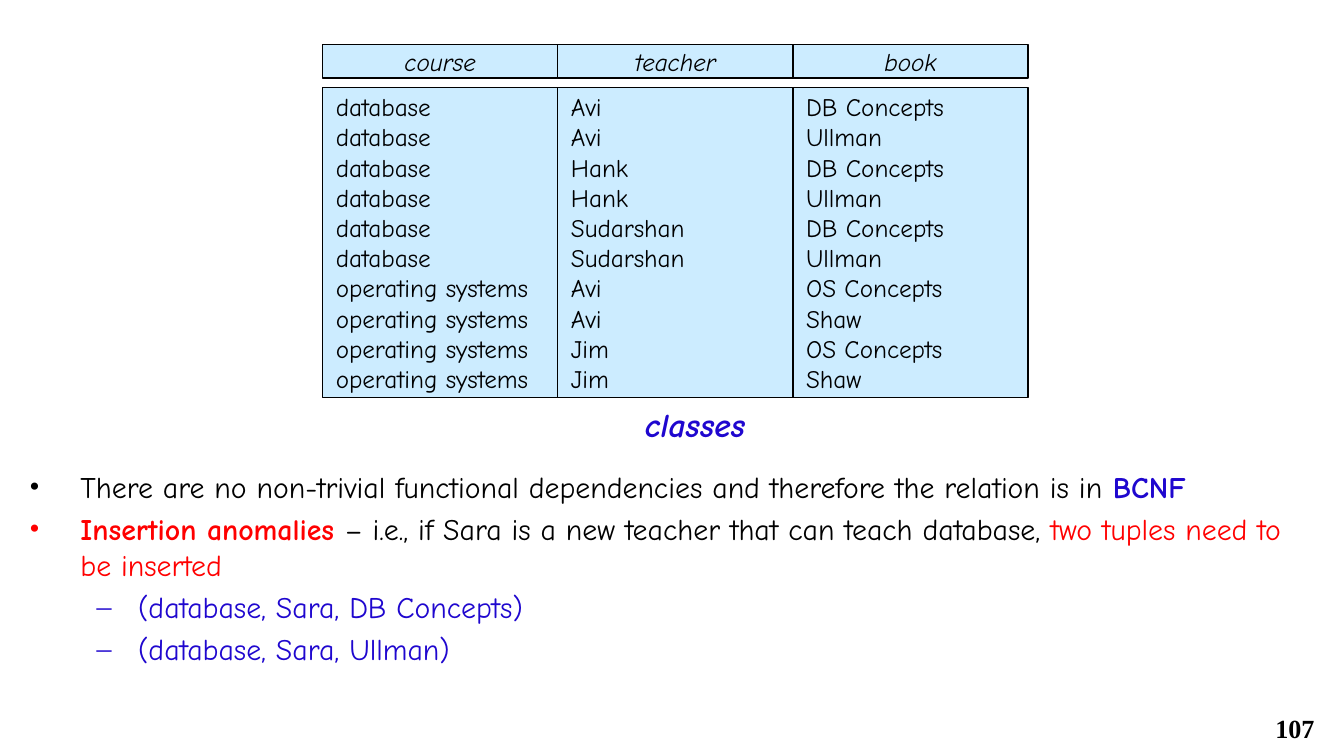
from dataclasses import dataclass

from lxml.etree import SubElement
from pptx import Presentation
from pptx.dml.color import RGBColor
from pptx.enum.shapes import MSO_SHAPE
from pptx.enum.text import MSO_ANCHOR, PP_ALIGN
from pptx.oxml.ns import qn
from pptx.util import Inches, Pt

HEX = {"black": "000000", "blue": "1F07CF", "red": "FF0000", "sky": "CCECFF"}
FACE, SERIF = "Comic Neue", "Times New Roman"
LEFT, WIDE = 2.4, 1.75


@dataclass
class Span:
    text: str
    color: str = "black"
    bold: bool = False


@dataclass
class Point:
    spans: list[Span]
    level: int = 0


@dataclass
class Column:
    head: str
    cells: list[str]


COLUMNS = [
    Column("course", ["database"] * 6 + ["operating systems"] * 4),
    Column("teacher", [name for name in ("Avi", "Hank", "Sudarshan", "Avi", "Jim")
                       for _ in range(2)]),
    Column("book", ["DB Concepts", "Ullman"] * 3 + ["OS Concepts", "Shaw"] * 2),
]

POINTS = [
    Point([Span("There are no non-trivial functional dependencies and therefore "
                "the relation is in "),
           Span("BCNF", "blue", True)]),
    Point([Span("Insertion anomalies ", "red", True),
           Span("– i.e., if Sara is a new teacher that can teach database, "),
           Span("two tuples need to be inserted", "red")]),
    Point([Span("(database, Sara, DB Concepts)", "blue")], 1),
    Point([Span("(database, Sara, Ullman)", "blue")], 1),
]


def tint(name: str) -> RGBColor:
    return RGBColor.from_string(HEX[name])


def style(para, size: float, color: str = "black", face: str = FACE,
          bold: bool = False, italic: bool = False) -> None:
    font = para.font
    font.name, font.size = face, Pt(size)
    font.bold, font.italic = bold, italic
    font.color.rgb = tint(color)


def add_box(slide, left: float, top: float, high: float, lines: list[str],
            head: bool = False) -> None:
    """Draw one header or body cell, a paragraph for each line."""
    box = slide.shapes.add_shape(MSO_SHAPE.RECTANGLE, Inches(left), Inches(top),
                                 Inches(WIDE), Inches(high))
    box.shadow.inherit = False
    box.fill.solid()
    box.fill.fore_color.rgb = tint("sky")
    box.line.color.rgb = tint("black")
    box.line.width = Pt(0.75)
    frame = box.text_frame
    frame.word_wrap = True
    frame.vertical_anchor = MSO_ANCHOR.MIDDLE
    frame.text = "\n".join(lines)
    for para in frame.paragraphs:
        para.alignment = PP_ALIGN.CENTER if head else PP_ALIGN.LEFT
        style(para, 13.5, italic=head)


def add_text(slide, left: float, top: float, wide: float, high: float):
    frame = slide.shapes.add_textbox(Inches(left), Inches(top), Inches(wide),
                                     Inches(high)).text_frame
    frame.word_wrap = True
    return frame


def add_point(para, point: Point) -> None:
    indent, hang, mark = [(0.38, 0.38, "•"), (0.81, 0.31, "–")][point.level]
    para.level = point.level
    props = para._p.get_or_add_pPr()
    props.set("marL", str(Inches(indent)))
    props.set("indent", str(-Inches(hang)))
    SubElement(props, qn("a:buFont"), typeface=SERIF)
    SubElement(props, qn("a:buChar"), char=mark)
    style(para, 16, point.spans[0].color)
    for span in point.spans:
        run = para.add_run()
        run.text = span.text
        run.font.bold = span.bold
        run.font.color.rgb = tint(span.color)


def main() -> None:
    deck = Presentation()
    deck.slide_width = Inches(10)
    deck.slide_height = deck.slide_width * 9 // 16
    slide = deck.slides.add_slide(deck.slide_layouts[6])

    for i, column in enumerate(COLUMNS):
        left = LEFT + i * WIDE
        add_box(slide, left, 0.33, 0.25, [column.head], head=True)
        add_box(slide, left, 0.65, 2.31, column.cells)

    name = add_text(slide, 4.7, 2.96, 1.05, 0.4).paragraphs[0]
    name.text = "classes"
    style(name, 18, "blue", bold=True, italic=True)

    body = add_text(slide, 0.12, 3.44, 9.69, 1.81)
    for i, point in enumerate(POINTS):
        para = body.add_paragraph() if i else body.paragraphs[0]
        if i:
            para.space_before = Pt(3.2)
        add_point(para, point)

    page = add_text(slide, 9.25, 5.25, 0.63, 0.34).paragraphs[0]
    page.text = "107"
    page.alignment = PP_ALIGN.RIGHT
    style(page, 14, face=SERIF, bold=True)

    deck.save("out.pptx")


if __name__ == "__main__":
    main()
